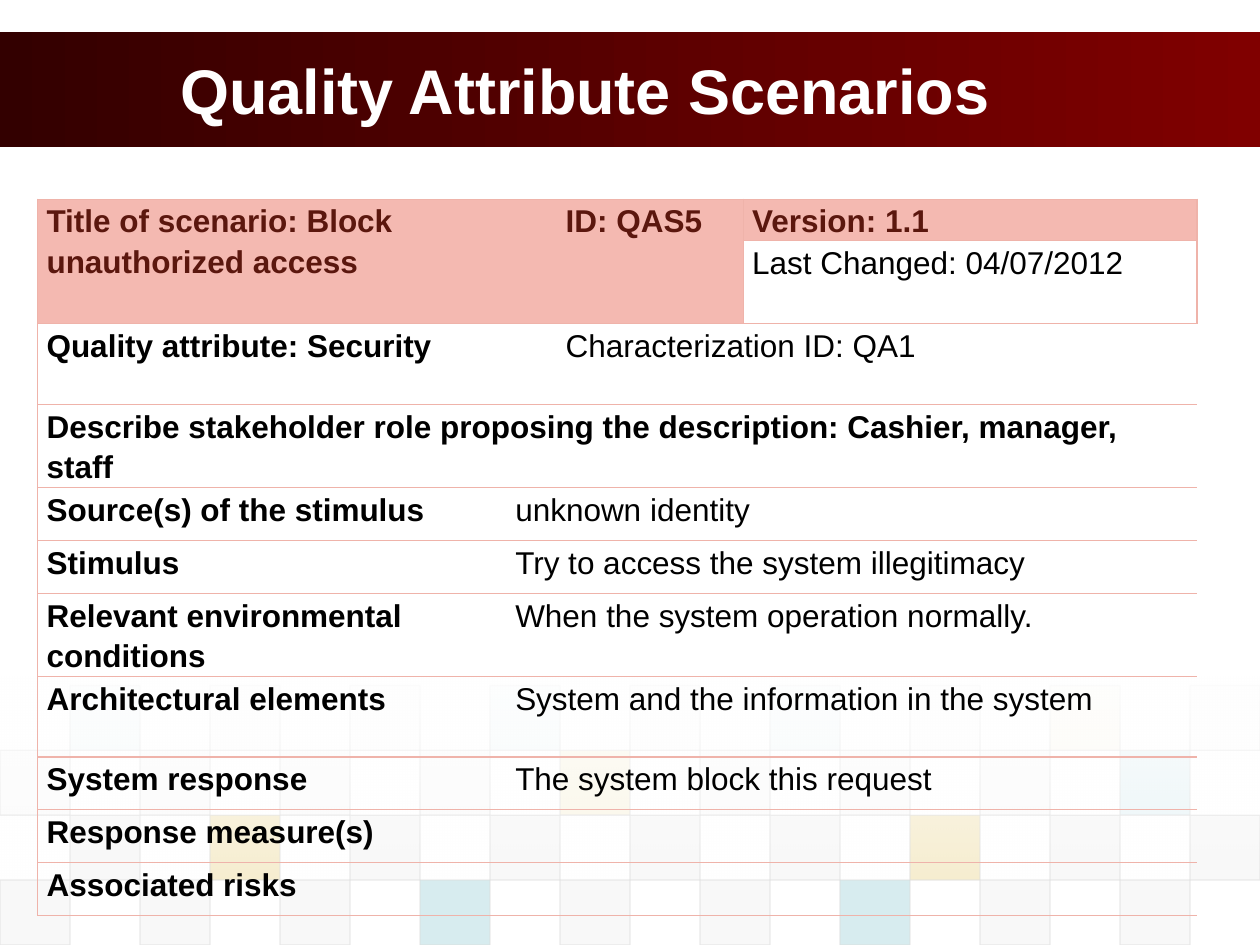
from lxml.etree import SubElement
from pptx import Presentation
from pptx.dml.color import RGBColor
from pptx.enum.shapes import MSO_SHAPE
from pptx.enum.text import MSO_ANCHOR, PP_ALIGN
from pptx.oxml.ns import qn
from pptx.util import Inches, Pt

WHITE = RGBColor(0xFF, 0xFF, 0xFF)
BLACK = RGBColor(0x00, 0x00, 0x00)
DARK_RED = RGBColor(0x33, 0x00, 0x00)
RED = RGBColor(0x80, 0x00, 0x00)
MAROON = RGBColor(0x5B, 0x17, 0x0E)
PINK = RGBColor(0xF4, 0xB9, 0xB1)
RULE = RGBColor(0xEF, 0xB3, 0xAA)
GREY = RGBColor(0xDD, 0xDD, 0xDD)
TILE_COLORS = {
    "G": GREY,
    "L": RGBColor(0xEA, 0xEA, 0xEA),
    "Y": RGBColor(0xD3, 0xA9, 0x11),
    "T": RGBColor(0x38, 0xA3, 0xB2),
}
FONT = "Arial"
TITLE = "Quality Attribute Scenarios"

# Every second square of a row is filled: first column, opacity in %, colours
TILE_ROWS = [
    (1, 5, "TLLTGTLYL"),
    (0, 10, "GGGGYGGGT"),
    (1, 20, "GYGGGGYGG"),
    (0, 20, "GGGTGGTGG"),
]
TILE_W, TILE_H, TILES_TOP = 10 / 18, 0.515, 5.44

COL_WIDTHS = [3.72, 0.4, 1.48, 3.6]
ROW_HEIGHTS = [0.33, 0.66, 0.64, 0.66, 0.42, 0.42, 0.66, 0.64, 0.42, 0.42, 0.42]

# row, column, rows spanned, columns spanned, text, style
TOP_CELLS = [
    (0, 0, 2, 2, "Title of scenario: Block unauthorized access", "head"),
    (0, 2, 2, 1, "ID: QAS5", "head"),
    (0, 3, 1, 1, "Version: 1.1", "head"),
    (1, 3, 1, 1, "Last Changed: 04/07/2012", "plain"),
    (2, 0, 1, 2, "Quality attribute: Security", "bold"),
    (2, 2, 1, 2, "Characterization ID: QA1", "plain"),
    (3, 0, 1, 4, "Describe stakeholder role proposing the description: "
                 "Cashier, manager, staff", "bold"),
]
DETAILS = [
    ("Source(s) of the stimulus", "unknown identity"),
    ("Stimulus", "Try to access the system illegitimacy"),
    ("Relevant environmental conditions", "When the system operation normally."),
    ("Architectural elements", "System and the information in the system"),
    ("System response", "The system block this request"),
    ("Response measure(s)", ""),
    ("Associated risks", ""),
]
FIRST_DETAIL = 4


def set_alpha(color_element, percent):
    SubElement(color_element, qn("a:alpha"), val=str(percent * 1000))


def add_rect(slide, x, y, w, h):
    sp = slide.shapes.add_shape(
        MSO_SHAPE.RECTANGLE, Inches(x), Inches(y), Inches(w), Inches(h))
    sp.shadow.inherit = False
    return sp


def add_gradient(slide, box, colors, angle):
    sp = add_rect(slide, *box)
    sp.line.fill.background()
    sp.fill.gradient()
    sp.fill.gradient_angle = angle
    for stop, color, position in zip(sp.fill.gradient_stops, colors, (0, 1)):
        stop.color.rgb = color
        stop.position = position
    return sp


def add_tiles(slide):
    for row, (first, opacity, codes) in enumerate(TILE_ROWS):
        for i, code in enumerate(codes):
            sp = add_rect(slide, (first + 2 * i) * TILE_W,
                          TILES_TOP + row * TILE_H, TILE_W, TILE_H)
            sp.fill.solid()
            sp.fill.fore_color.rgb = TILE_COLORS[code]
            sp.line.color.rgb = GREY
            sp.line.width = Pt(0.75)
            fill, line = sp._element.spPr.iter(qn("a:srgbClr"))
            set_alpha(fill, opacity)
            set_alpha(line, 60)


def add_fade(slide):
    """White veil over the tiles, clearing towards the bottom."""
    sp = add_gradient(slide, (0, 5.37, 10, 1.62), (WHITE, WHITE), 270)
    for color, opacity in zip(sp._element.spPr.iter(qn("a:srgbClr")), (90, 0)):
        set_alpha(color, opacity)


def format_title(slide):
    title = slide.shapes.title
    title.left, title.top = Inches(1.33), Inches(0.25)
    title.width, title.height = Inches(8.08), Inches(0.92)
    tf = title.text_frame
    tf.text = TITLE
    tf.vertical_anchor = MSO_ANCHOR.MIDDLE
    p = tf.paragraphs[0]
    p.alignment = PP_ALIGN.LEFT
    p.font.name, p.font.size, p.font.bold = FONT, Pt(36), True
    p.font.color.rgb = WHITE
    slide.shapes._spTree.append(title._element)  # in front of the banner


def set_borders(cell, sides):
    """Rule the given sides (of L, R, T, B) and clear the others."""
    tc_pr = cell._tc.get_or_add_tcPr()
    for side in "LRTB":
        ln = SubElement(tc_pr, qn("a:ln" + side), w=str(Pt(0.75)))
        if side in sides:
            fill = SubElement(ln, qn("a:solidFill"))
            SubElement(fill, qn("a:srgbClr"), val=str(RULE))
        else:
            SubElement(ln, qn("a:noFill"))


def fill_cell(table, row, col, rows, cols, text, style):
    last_row, last_col = row + rows - 1, col + cols - 1
    for r in range(row, last_row + 1):
        for c in range(col, last_col + 1):
            edges = {
                "T": r == row,
                "B": r == last_row,
                "L": c == 0 or (c == 3 and r < 2),
                "R": c == 3 or (c == 2 and r < 2),
            }
            set_borders(table.cell(r, c), [s for s in edges if edges[s]])
    cell = table.cell(row, col)
    if rows * cols > 1:
        cell.merge(table.cell(last_row, last_col))
    cell.margin_left = cell.margin_right = Inches(0.07)
    cell.margin_top = cell.margin_bottom = 0
    if style == "head":
        cell.fill.solid()
        cell.fill.fore_color.rgb = PINK
    else:
        cell.fill.background()
    cell.text = text
    p = cell.text_frame.paragraphs[0]
    p.line_spacing = 1.15
    p.font.name, p.font.size, p.font.bold = FONT, Pt(18), style != "plain"
    p.font.color.rgb = MAROON if style == "head" else BLACK


def add_scenario_table(slide):
    table = slide.shapes.add_table(
        len(ROW_HEIGHTS), len(COL_WIDTHS), Inches(0.3), Inches(1.58),
        Inches(sum(COL_WIDTHS)), Inches(sum(ROW_HEIGHTS))).table
    table.first_row = table.horz_banding = False
    for column, width in zip(table.columns, COL_WIDTHS):
        column.width = Inches(width)
    for row, height in zip(table.rows, ROW_HEIGHTS):
        row.height = Inches(height)
    for entry in TOP_CELLS:
        fill_cell(table, *entry)
    for row, (label, value) in enumerate(DETAILS, FIRST_DETAIL):
        fill_cell(table, row, 0, 1, 1, label, "bold")
        fill_cell(table, row, 1, 1, 3, value, "plain")


def main():
    prs = Presentation()
    prs.slide_width, prs.slide_height = Inches(10), Inches(7.5)
    slide = prs.slides.add_slide(prs.slide_layouts[5])
    add_gradient(slide, (0, 0.25, 10, 0.92), (DARK_RED, RED), 0)
    add_tiles(slide)
    add_fade(slide)
    format_title(slide)
    add_scenario_table(slide)
    prs.save("out.pptx")


if __name__ == "__main__":
    main()
